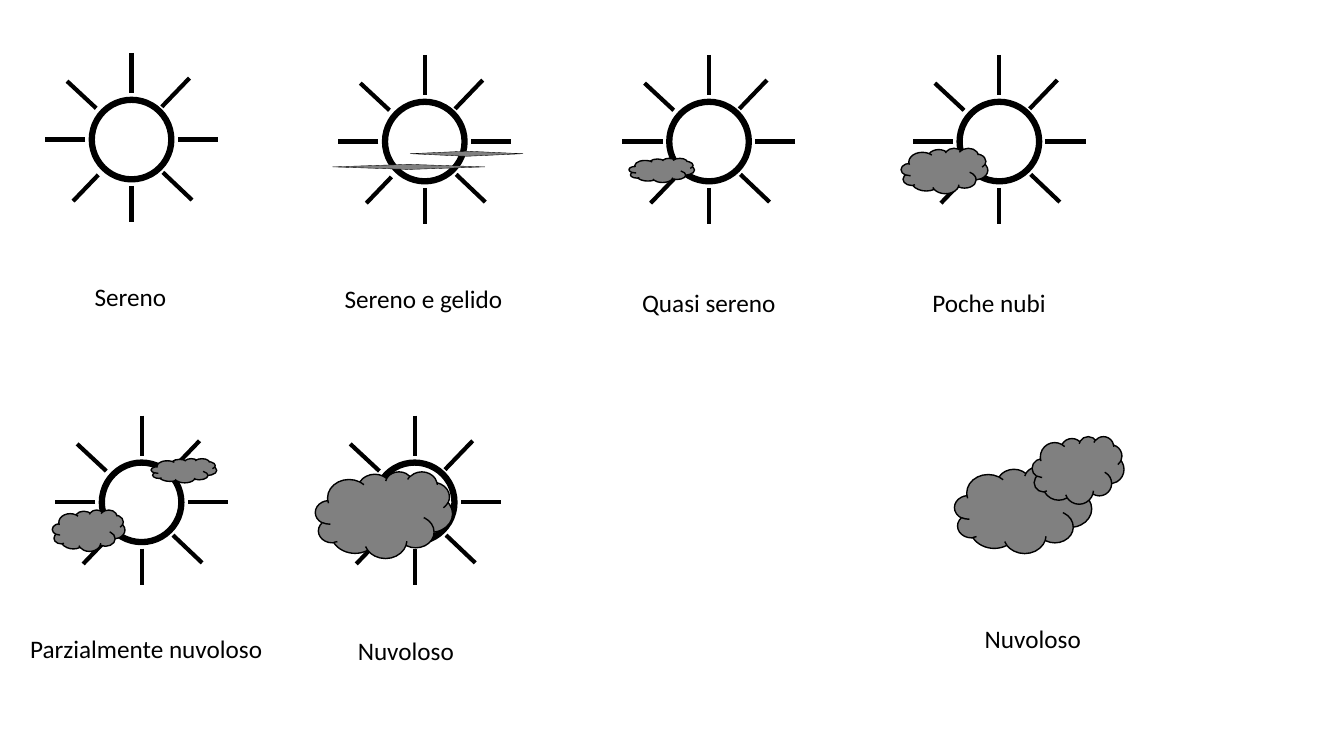
from pptx import Presentation
from pptx.dml.color import RGBColor
from pptx.enum.shapes import MSO_CONNECTOR as CONN, MSO_SHAPE as SHAPE
from pptx.enum.text import MSO_AUTO_SIZE as AUTO
from pptx.oxml.ns import qn
from pptx.util import Inches, Pt
from lxml.etree import SubElement

WIDTH, HEIGHT = 13.33, 7.5
CELL = WIDTH / 100  # square grid, 100 columns wide
BLACK, GREY = "000000", "808080"
DISC_RADIUS = 2.96
SMALL_CLOUD = (4.88, 1.8)
BIG_CLOUD = (10.2, 6.45)

# Ray ends, in cells from the centre of the sun
RAYS = [
    ((0, -6.45), (0, -3.45)), ((0, 3.45), (0, 6.15)),
    ((6.41, 0), (3.42, 0)), ((-3.45, 0), (-6.45, 0)),
    ((4.31, -4.58), (2.25, -2.44)), ((-2.48, 2.63), (-4.35, 4.58)),
    ((4.5, 4.5), (2.33, 2.44)), ((-2.63, -2.33), (-4.8, -4.35)),
]

# Label, its (left, top, width), icon centre, has sun,
# wisps and clouds as ((left, top) from the centre, (width, height))
ICONS = [
    ("Sereno", (6.3, 20.55, 6.9), (9.79, 10.39), True, [], []),
    ("Sereno e gelido", (24.9, 20.7, 13.43), (31.61, 10.54), True,
     [((-6.86, 1.69), (11.33, 0.38)), ((-1.09, 0.71), (8.4, 0.38))], []),
    ("Quasi sereno", (47.03, 21, 11.55), (52.76, 10.54), True,
     [], [((-5.96, 1.24), SMALL_CLOUD)]),
    ("Poche nubi", (68.63, 21, 10.05), (74.36, 10.54), True,
     [], [((-7.31, 0.49), (6.45, 3.38))]),
    ("Parzialmente nuvoloso", (1.5, 46.73, 19.43), (10.54, 37.39), True,
     [], [((-6.64, 0.56), (5.4, 3.08)), ((0.71, -3.26), SMALL_CLOUD)]),
    ("Nuvoloso", (25.88, 46.95, 8.78), (30.86, 37.39), True,
     [], [((-7.39, -2.29), BIG_CLOUD)]),
    ("Nuvoloso", (72.53, 46.05, 8.78), (77, 37.39), False,
     [], [((-5.97, -2.66), BIG_CLOUD), ((-0.2, -4.91), (6.83, 5.03))]),
]


def cells(*values):
    """Convert grid cells to lengths."""
    return [Inches(v * CELL) for v in values]


def color(hex_code):
    """Convert a hex string to a colour."""
    return RGBColor.from_string(hex_code)


def shift(centre, offset):
    """Move a grid point by an offset."""
    return centre[0] + offset[0], centre[1] + offset[1]


def add_outlined(shapes, kind, corner, size, weight, fill=None):
    """Add a black-outlined preset shape."""
    s = shapes.add_shape(kind, *cells(*corner, *size))
    s.shadow.inherit = False
    if fill:
        s.fill.solid()
        s.fill.fore_color.rgb = color(fill)
    else:
        s.fill.background()
    s.line.color.rgb = color(BLACK)
    s.line.width = Pt(weight)


def add_ray(shapes, start, end):
    """Add one straight ray."""
    s = shapes.add_connector(CONN.STRAIGHT, *cells(*start, *end))
    s.line.color.rgb = color(BLACK)
    s.line.width = Pt(3)
    SubElement(s._element.spPr, qn("a:effectLst"))


def add_sun(shapes, centre):
    """Add a disc with its eight rays."""
    corner = shift(centre, (-DISC_RADIUS, -DISC_RADIUS))
    add_outlined(shapes, SHAPE.OVAL, corner, (2 * DISC_RADIUS,) * 2, 4.5)
    for start, end in RAYS:
        add_ray(shapes, shift(centre, start), shift(centre, end))


def add_icon(shapes, centre, has_sun, wisps, clouds):
    """Add a grouped weather symbol."""
    group = shapes.add_group_shape().shapes
    if has_sun:
        add_sun(group, centre)
    for kind, weight, items in ((SHAPE.FLOWCHART_DECISION, 0.25, wisps),
                                (SHAPE.CLOUD, 1, clouds)):
        for offset, size in items:
            add_outlined(group, kind, shift(centre, offset), size, weight, GREY)


def add_text(shapes, text, left, top, width, height=3, size=18,
             font="Calibri", fill=BLACK):
    """Add a one-line text box."""
    tf = shapes.add_textbox(*cells(left, top, width, height)).text_frame
    tf.word_wrap = False
    tf.auto_size = AUTO.SHAPE_TO_FIT_TEXT
    r = tf.paragraphs[0].add_run()
    r.text = text
    r.font.name, r.font.size = font, Pt(size)
    r.font.color.rgb = color(fill)


def main():
    """Build the slide of weather symbols."""
    prs = Presentation()
    prs.slide_width, prs.slide_height = Inches(WIDTH), Inches(HEIGHT)
    shapes = prs.slides.add_slide(prs.slide_layouts[6]).shapes
    for label, box, *icon in ICONS:
        add_icon(shapes, *icon)
        add_text(shapes, label, *box)
    prs.save("out.pptx")


main()
